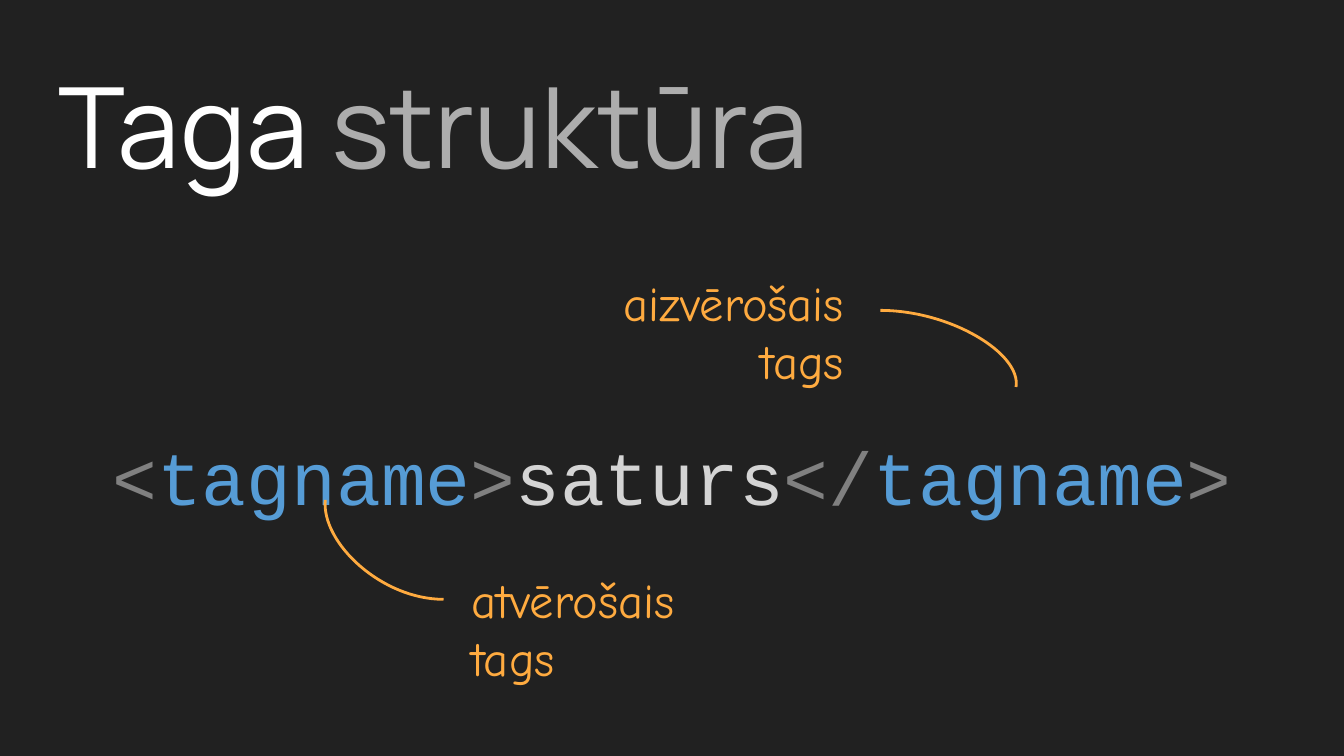
from dataclasses import dataclass

from lxml import etree
from pptx import Presentation
from pptx.dml.color import RGBColor
from pptx.enum.text import MSO_ANCHOR, PP_ALIGN
from pptx.oxml.ns import qn
from pptx.util import Inches, Pt

LEFT, CENTER, RIGHT = PP_ALIGN.LEFT, PP_ALIGN.CENTER, PP_ALIGN.RIGHT
TOP = MSO_ANCHOR.TOP


@dataclass(frozen=True)
class Theme:
    """Colours, fonts and sizes of the slide."""
    background: str = "212121"
    title: str = "FFFFFF"
    title_muted: str = "ADADAD"
    bracket: str = "808080"
    tag: str = "569CD6"
    content: str = "D4D4D4"
    note: str = "FFAB40"
    title_font: str = "Manrope"
    code_font: str = "Courier New"
    note_font: str = "Comic Neue"
    title_size: int = 60
    code_size: int = 40
    note_size: int = 26
    stroke: float = 1.5


THEME = Theme()


def add_text(slide, parts, box, *, font, size, align=LEFT, spacing=1.0):
    """Add one paragraph made of (text, colour) parts."""
    frame = slide.shapes.add_textbox(*map(Inches, box)).text_frame
    frame.word_wrap = True
    frame.vertical_anchor = TOP
    frame.margin_left = frame.margin_right = Inches(0.1)
    frame.margin_top = frame.margin_bottom = Inches(0.1)
    paragraph = frame.paragraphs[0]
    paragraph.alignment = align
    paragraph.line_spacing = spacing
    for text, color in parts:
        run = paragraph.add_run()
        run.text = text
        run.font.name = font
        run.font.size = Pt(size)
        run.font.color.rgb = RGBColor.from_string(color)


def add_curve(slide, start, *bends_and_end):
    """Draw an open cubic curve from its start, two bends and end."""
    points = [(Inches(x), Inches(y)) for x, y in (start, *bends_and_end)]
    builder = slide.shapes.build_freeform(*points[0])
    builder.add_line_segments(points[1:], close=False)
    curve = builder.convert_to_shape()
    curve.shadow.inherit = False
    curve.fill.background()
    curve.line.color.rgb = RGBColor.from_string(THEME.note)
    curve.line.width = Pt(THEME.stroke)
    segments = list(curve.element.iter(qn("a:lnTo")))
    bezier = etree.SubElement(segments[0].getparent(), qn("a:cubicBezTo"))
    for segment in segments:
        bezier.append(segment[0])
        segment.getparent().remove(segment)


def add_note(slide, text, box, align, curve):
    """Add a note with the curve that leads to its tag."""
    add_curve(slide, *curve)
    add_text(slide, [(text, THEME.note)], box, font=THEME.note_font,
             size=THEME.note_size, align=align)


def main():
    """Build the slide on the structure of a tag."""
    deck = Presentation()
    deck.slide_width = Inches(10)
    deck.slide_height = deck.slide_width * 9 // 16
    slide = deck.slides.add_slide(deck.slide_layouts[6])
    slide.background.fill.solid()
    slide.background.fill.fore_color.rgb = RGBColor.from_string(THEME.background)

    code = [("<", THEME.bracket), ("tagname", THEME.tag), (">", THEME.bracket),
            ("saturs", THEME.content),
            ("</", THEME.bracket), ("tagname", THEME.tag), (">", THEME.bracket)]
    add_text(slide, code, (0.34, 2.77, 9.32, 0.75), font=THEME.code_font,
             size=THEME.code_size, align=CENTER, spacing=1.5)
    title = [("Taga ", THEME.title), ("struktūra", THEME.title_muted)]
    add_text(slide, title, (0.34, 0.32, 9.32, 1.31), font=THEME.title_font,
             size=THEME.title_size)
    add_note(slide, "atvērošais tags", (3.41, 4.14, 2.35, 0.63), LEFT,
             [(2.42, 3.72), (2.39, 4.04), (2.84, 4.46), (3.3, 4.46)])
    add_note(slide, "aizvērošais tags", (4.06, 1.93, 2.32, 0.54), RIGHT,
             [(7.56, 2.88), (7.6, 2.63), (7.07, 2.31), (6.55, 2.31)])
    deck.save("out.pptx")


if __name__ == "__main__":
    main()
